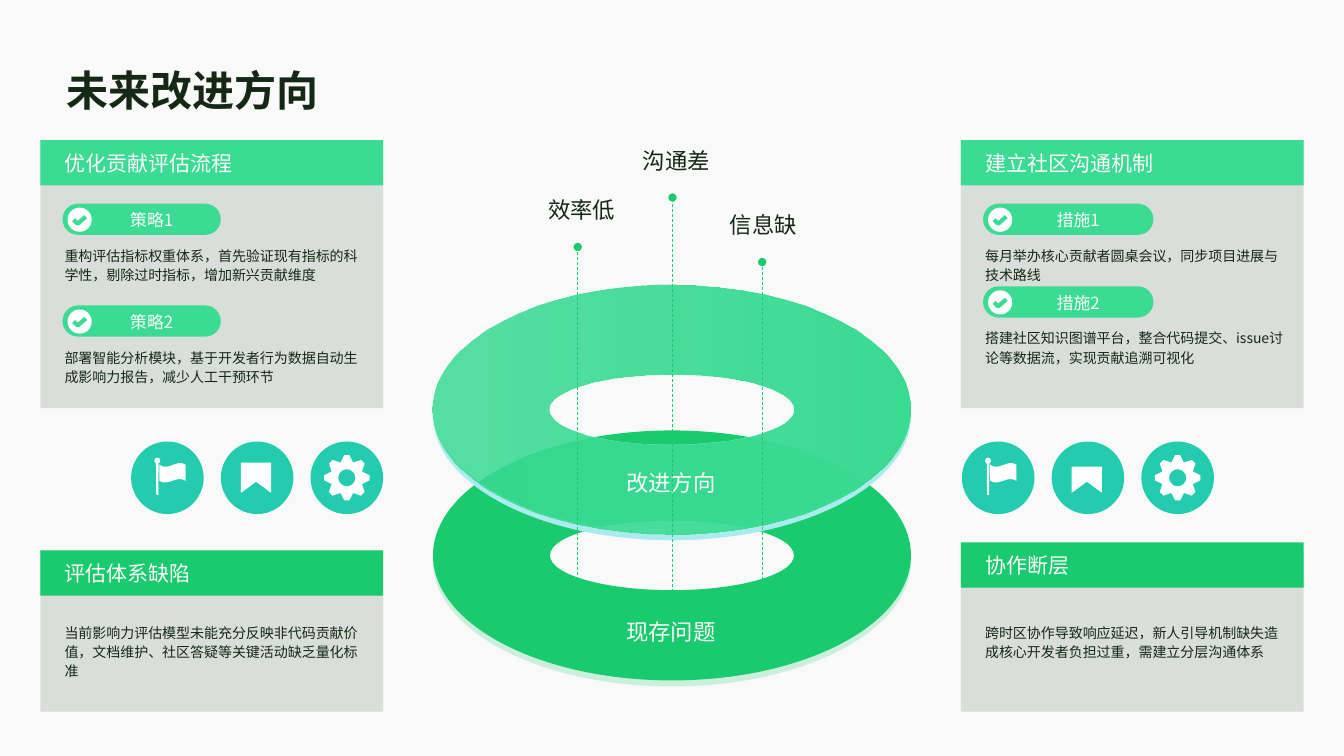
from math import ceil, cos, radians, sin, tan
from lxml import etree
from pptx import Presentation
from pptx import util as u
from pptx.dml.color import RGBColor
from pptx.enum import dml, shapes, text
from pptx.oxml.ns import qn

# Content: side 0 is the left column, side 1 the right column
TITLE = "未来改进方向"
STRATEGY_PANELS = [
    (0, "优化贡献评估流程", 1.57, [
        (2.02, "策略1", "重构评估指标权重体系，首先验证现有指标的科学性，剔除过时指标，增加新兴贡献维度"),
        (3.03, "策略2", "部署智能分析模块，基于开发者行为数据自动生成影响力报告，减少人工干预环节")]),
    (1, "建立社区沟通机制", 1.69, [
        (2.02, "措施1", "每月举办核心贡献者圆桌会议，同步项目进展与技术路线"),
        (2.84, "措施2", "搭建社区知识图谱平台，整合代码提交、issue讨论等数据流，实现贡献追溯可视化")]),
]
PROBLEM_PANELS = [
    (0, 5.46, "评估体系缺陷", "当前影响力评估模型未能充分反映非代码贡献价值，文档维护、社区答疑等关键活动缺乏量化标准"),
    (1, 5.38, "协作断层", "跨时区协作导致响应延迟，新人引导机制缺失造成核心开发者负担过重，需建立分层沟通体系"),
]
# Label, label centre x, label top, line x, line bottom, line top
POINTERS = [("信息缺", 7.57, 2.09, 7.56, 6.05, 2.6),
            ("沟通差", 6.71, 1.46, 6.67, 6.17, 1.96),
            ("效率低", 5.77, 1.95, 5.73, 5.9, 2.45)]
# Label, label top, ring centre y, ring colour, rim colour, rim opacity
RINGS = [("现存问题", 6.13, 5.51, "1ACA6E", "1ACA6E", 20),
         ("改进方向", 4.65, 4.06, "3BDB94", "ABEAF0", 100)]

FONT = "Noto Sans CJK SC"
INK, PALE, WHITE = "152815", "FBF9F9", "FFFFFF"
MINT, GREEN, TEAL, GREY = "3BDB94", "1ACA6E", "23CCAF", "D9DEDA"
WIDTH, HEIGHT = 13.33, 7.5
PANEL_WIDTH, BAR_HEIGHT, MARGIN = 3.4, 0.45, 0.4
PANEL_LEFT = [MARGIN, WIDTH - MARGIN - PANEL_WIDTH]
ICON_SIZE, ICON_STEP, ICON_TOP = 0.72, 0.89, 4.38
ICON_LEFT = [1.3, 9.54]
BOOKMARK_TOP = [0.21, 0.25]

presentation = Presentation()
presentation.slide_width, presentation.slide_height = u.Inches(WIDTH), u.Inches(HEIGHT)
slide = presentation.slides.add_slide(presentation.slide_layouts[5])


def color(value):
    return RGBColor.from_string(value)


def set_alpha(color_element, percent):
    etree.SubElement(color_element, qn("a:alpha")).set("val", str(percent * 1000))


def paint(shape, fill, alpha=100):
    shape.shadow.inherit = False
    shape.fill.solid()
    shape.fill.fore_color.rgb = color(fill)
    shape.line.fill.background()
    if alpha < 100:
        set_alpha(next(shape._element.spPr.iter(qn("a:srgbClr"))), alpha)
    return shape


def add_preset(kind, left, top, width, height, fill):
    box = [u.Inches(v) for v in (left, top, width, height)]
    return paint(slide.shapes.add_shape(kind, *box), fill)


def write(frame, words, size, ink, spacing=None, align=text.PP_ALIGN.LEFT, bold=False):
    frame.word_wrap = True
    frame.auto_size = text.MSO_AUTO_SIZE.NONE
    frame.text = words
    paragraph = frame.paragraphs[0]
    paragraph.alignment = align
    if spacing:
        paragraph.line_spacing = spacing
    font = paragraph.font
    font.size, font.bold, font.name = u.Pt(size), bold, FONT
    font.color.rgb = color(ink)
    etree.SubElement(font._element, qn("a:ea")).set("typeface", FONT)


def set_margins(frame, left, top, right, bottom):
    frame.margin_left, frame.margin_top = u.Inches(left), u.Inches(top)
    frame.margin_right, frame.margin_bottom = u.Inches(right), u.Inches(bottom)


def add_text(words, left, top, width, height, size, ink, **style):
    box = slide.shapes.add_textbox(*[u.Inches(v) for v in (left, top, width, height)])
    set_margins(box.text_frame, 0, 0, 0, 0)
    write(box.text_frame, words, size, ink, **style)


def add_centred(words, center, top, width, height, size, ink):
    add_text(words, center - width / 2, top, width, height, size, ink,
             align=text.PP_ALIGN.CENTER)


def add_outline(contours, left=0, top=0, close=True):
    """Each step is a list of one point (line) or three points (cubic curve)."""
    contours = [[[(round((left + x) * 1000), round((top + y) * 1000)) for x, y in step]
                 for step in contour] for contour in contours]
    builder = None
    for contour in contours:
        ends = [step[-1] for step in contour]
        if builder is None:
            builder = slide.shapes.build_freeform(*ends[0], scale=914.4)
        else:
            builder.move_to(*ends[0])
        builder.add_line_segments(ends[1:], close=close)
    shape = builder.convert_to_shape()
    # Turn the segments that have control points into curves
    origin = [min(step[-1][k] for contour in contours for step in contour) for k in (0, 1)]
    steps = [step for contour in contours for step in contour[1:]]
    for segment, step in zip(list(shape._element.iter(qn("a:lnTo"))), steps):
        if len(step) == 3:
            curve = etree.Element(qn("a:cubicBezTo"))
            for x, y in step:
                point = etree.SubElement(curve, qn("a:pt"))
                point.set("x", str(x - origin[0]))
                point.set("y", str(y - origin[1]))
            segment.getparent().replace(segment, curve)
    return shape


def lines(*points):
    return [[point] for point in points]


def arc(x, y, rx, ry, start=0, end=360):
    count = ceil(abs(end - start) / 90)
    turn = radians(end - start) / count
    k = 4 / 3 * tan(turn / 4)
    steps = lines((x + rx * cos(radians(start)), y + ry * sin(radians(start))))
    for i in range(count):
        a = radians(start) + i * turn
        b = a + turn
        steps.append([(x + rx * (cos(a) - k * sin(a)), y + ry * (sin(a) + k * cos(a))),
                      (x + rx * (cos(b) + k * sin(b)), y + ry * (sin(b) - k * cos(b))),
                      (x + rx * cos(b), y + ry * sin(b))])
    return steps


def gear_rim(center):
    tooth = [(-0.06, -0.155), (-0.025, -0.225), (0.025, -0.225), (0.06, -0.155)]
    turns = [radians(45 * i) for i in range(8)]
    return lines(*[(center + x * cos(a) - y * sin(a), center + x * sin(a) + y * cos(a))
                   for a in turns for x, y in tooth])


def add_panel(side, top, bar_top, height, bar_fill, heading):
    left = PANEL_LEFT[side]
    add_preset(shapes.MSO_SHAPE.RECTANGLE, left, top, PANEL_WIDTH, height, GREY)
    add_preset(shapes.MSO_SHAPE.RECTANGLE, left, bar_top, PANEL_WIDTH, BAR_HEIGHT, bar_fill)
    add_text(heading, left + 0.24, bar_top + 0.1, 3.02, 0.28, 15, PALE)


def add_body(side, words, top, height):
    add_text(words, PANEL_LEFT[side] + 0.24, top + 0.05, 2.99, height, 10, INK, spacing=1.14)


# Background and title
slide.background.fill.solid()
slide.background.fill.fore_color.rgb = color("F9F9F9")
title = slide.shapes.title
title.left, title.top, title.width, title.height = [u.Inches(v) for v in (0.52, 0.29, 12.29, 1)]
set_margins(title.text_frame, 0.14, 0.14, 0.06, 0.14)
title.text_frame.vertical_anchor = text.MSO_ANCHOR.MIDDLE
write(title.text_frame, TITLE, 30, INK, spacing=1.4, bold=True)

# Stacked rings, each with a rim below
CENTER, RADIUS_X, RADIUS_Y = WIDTH / 2, 2.37, 1.24
for label, label_top, y, fill, rim, rim_alpha in RINGS:
    crescent = (arc(CENTER, y + 0.06, RADIUS_X, RADIUS_Y, 0, 180)
                + arc(CENTER, y - 0.01, RADIUS_X, RADIUS_Y, 180, 0))
    paint(add_outline([crescent]), rim, rim_alpha)
    ring = paint(add_outline([arc(CENTER, y, RADIUS_X, RADIUS_Y),
                              arc(CENTER, y, 1.21, 0.345, 360, 0)]), fill)
    if fill == MINT:
        ring.fill.gradient()
        ring.fill.gradient_angle = 0
        for stop, position in zip(ring.fill.gradient_stops, (0, 1)):
            stop.position, stop.color.rgb = position, color(fill)
        set_alpha(next(ring._element.spPr.iter(qn("a:srgbClr"))), 85)
for label, label_top, *_ in RINGS:
    add_centred(label, CENTER - 0.01, label_top, 3.16, 0.29, 16, PALE)

# Dashed pointers with a dot on top
for label, center, label_top, x, bottom, top in POINTERS:
    add_centred(label, center, label_top, 1.8, 0.29, 16, INK)
    pointer = slide.shapes.add_connector(
        shapes.MSO_CONNECTOR.STRAIGHT, *[u.Inches(v) for v in (x, bottom, x, top)])
    pointer.line.color.rgb, pointer.line.width = color(GREEN), u.Pt(0.5)
    pointer.line.dash_style = dml.MSO_LINE.DASH
    etree.SubElement(pointer.line._ln, qn("a:tailEnd")).set("type", "oval")
    etree.SubElement(pointer._element.spPr, qn("a:effectLst"))

# Upper panels with ticked pills
for side, heading, pill_width, items in STRATEGY_PANELS:
    add_panel(side, 1.39, 1.39, 2.66, MINT, heading)
    left = PANEL_LEFT[side] + 0.22
    for top, label, words in items:
        pill = add_preset(shapes.MSO_SHAPE.ROUNDED_RECTANGLE, left, top, pill_width, 0.31, MINT)
        pill.adjustments[0] = 0.5
        add_centred(label, left + pill_width / 2 + 0.1, top + 0.06, 1.2, 0.22, 12, PALE)
        add_preset(shapes.MSO_SHAPE.OVAL, left + 0.05, top + 0.04, 0.24, 0.24, WHITE)
        tick = add_outline([lines((0.23, 0.13), (0.15, 0.2), (0.11, 0.16))], left, top, False)
        tick.shadow.inherit = False
        tick.fill.background()
        tick.line.color.rgb, tick.line.width = color(MINT), u.Pt(3)
        add_body(side, words, top + 0.36, 0.4)

# Lower panels
for side, bar_top, heading, words in PROBLEM_PANELS:
    add_panel(side, 5.46, bar_top, 1.6, GREEN, heading)
    add_body(side, words, 6.12, 0.59)

# Icon rows: flag, bookmark, gear
flag = lines((0.54, 0.23), (0.54, 0.39)) + [
    [(0.45, 0.33), (0.37, 0.45), (0.28, 0.39)], [(0.28, 0.23)],
    [(0.37, 0.3), (0.45, 0.17), (0.54, 0.23)]]
pole = arc(0.26, 0.19, 0.03, 0.03, 115, 425) + lines((0.27, 0.53), (0.25, 0.53))
gear = [gear_rim(0.36), arc(0.36, 0.36, 0.085, 0.085, 360, 0)]
for side, row_left in enumerate(ICON_LEFT):
    notch_top = BOOKMARK_TOP[side]
    bookmark = lines((0.35, 0.4), (0.2, 0.51), (0.2, notch_top), (0.5, notch_top), (0.5, 0.51))
    for column, contours in enumerate([[flag, pole], [bookmark], gear]):
        left = row_left + column * ICON_STEP
        add_preset(shapes.MSO_SHAPE.OVAL, left, ICON_TOP, ICON_SIZE, ICON_SIZE, TEAL)
        paint(add_outline(contours, left, ICON_TOP), WHITE)

presentation.save("out.pptx")
